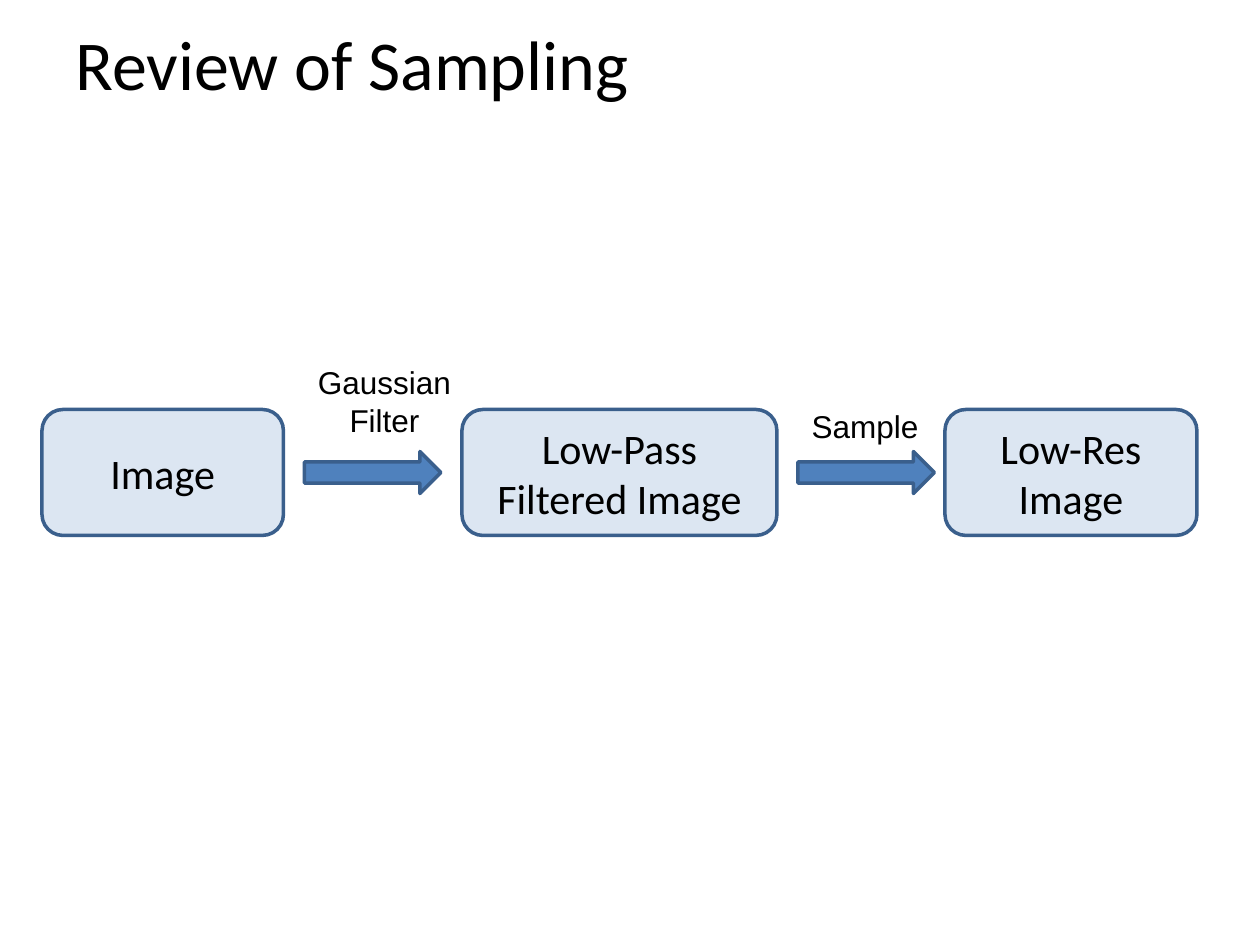
from pptx import Presentation
from pptx import util as u
from pptx.dml.color import RGBColor
from pptx.enum import shapes, text

CELL = u.Inches(1) // 12  # the slide is a grid of 120 columns by 90 rows
COLORS = {"text": "000000", "box": "DCE6F2", "arrow": "4F81BD", "outline": "3A5F8C"}

# left column, width in columns, wording
STAGES = [
    (4, 23, "Image"),
    (44, 30, "Low-Pass Filtered Image"),
    (90, 24, "Low-Res Image"),
]
# left column, label (top row, columns, rows), label wording
STEPS = [
    (29, (34, 15.25, 8.5), "Gaussian\nFilter"),
    (76, (38.15, 12.75, 4.85), "Sample"),
]


def color(name):
    return RGBColor.from_string(COLORS[name])


def grid(*cells):
    """Turn grid counts into slide lengths."""
    return [int(cell * CELL) for cell in cells]


def write(shape, wording, font, size, align, anchor, wrap=True):
    frame = shape.text_frame
    frame.text = wording
    frame.word_wrap = wrap
    frame.vertical_anchor = anchor
    for paragraph in frame.paragraphs:
        paragraph.alignment = align
        for run in paragraph.runs:
            run.font.name = font
            run.font.size = u.Pt(size)
            run.font.color.rgb = color("text")


def add_outlined(slide, kind, box, fill):
    shape = slide.shapes.add_shape(kind, *grid(*box))
    shape.shadow.inherit = False
    shape.fill.solid()
    shape.fill.fore_color.rgb = color(fill)
    shape.line.color.rgb = color("outline")
    shape.line.width = u.Pt(2)
    return shape


def add_title(slide, box, wording):
    title = slide.shapes.add_textbox(*grid(*box))
    write(title, wording, "Calibri", 40, text.PP_ALIGN.LEFT, text.MSO_ANCHOR.MIDDLE)


def add_stage(slide, box, wording):
    stage = add_outlined(slide, shapes.MSO_SHAPE.ROUNDED_RECTANGLE, box, "box")
    write(stage, wording, "Calibri", 24, text.PP_ALIGN.CENTER, text.MSO_ANCHOR.MIDDLE)


def add_step(slide, box, label_box, wording):
    """Place an arrow with its label above."""
    add_outlined(slide, shapes.MSO_SHAPE.RIGHT_ARROW, box, "arrow")
    label = slide.shapes.add_textbox(*grid(*label_box))
    write(label, wording, "Arial", 18, text.PP_ALIGN.CENTER, text.MSO_ANCHOR.TOP, wrap=False)
    label.text_frame.auto_size = text.MSO_AUTO_SIZE.SHAPE_TO_FIT_TEXT


def add_pipeline(slide, top, height):
    for left, width, wording in STAGES:
        add_stage(slide, (left, top, width, height), wording)
    arrow_height = height / 3
    arrow_top = top + (height - arrow_height) / 2
    for left, label, wording in STEPS:
        add_step(slide, (left, arrow_top, 13, arrow_height), (left, *label), wording)


def main():
    presentation = Presentation()
    presentation.slide_width, presentation.slide_height = grid(120, 90)
    slide = presentation.slides.add_slide(presentation.slide_layouts[6])
    add_title(slide, (6, 0, 108, 12), "Review of Sampling")
    add_pipeline(slide, top=39, height=12)
    presentation.save("out.pptx")


if __name__ == "__main__":
    main()
